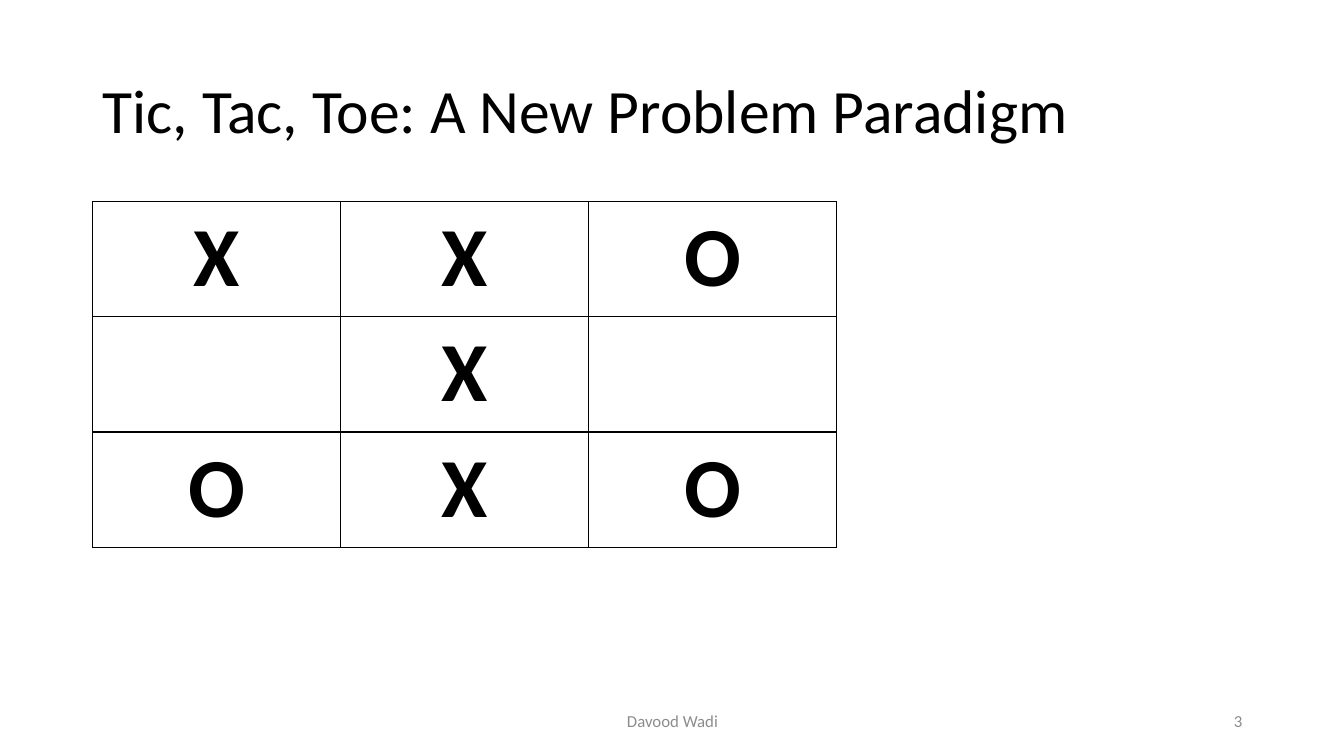
from dataclasses import dataclass

from lxml.etree import SubElement
from pptx import Presentation
from pptx.dml.color import RGBColor
from pptx.enum.text import MSO_ANCHOR, MSO_AUTO_SIZE, PP_ALIGN
from pptx.oxml.ns import qn
from pptx.util import Inches, Pt


@dataclass(frozen=True)
class Theme:
    font: str = "Calibri"
    ink: str = "000000"
    muted: str = "8C8C8C"
    title_size: int = 44
    mark_size: int = 60
    footer_size: int = 12
    border_width: int = 1


THEME = Theme()
BOARD = ["XXO", " X ", "OXO"]


def write_text(frame, text, *, size, color=THEME.ink, bold=False,
               align=PP_ALIGN.LEFT, line_spacing=None):
    paragraph = frame.paragraphs[0]
    paragraph.alignment = align
    paragraph.line_spacing = line_spacing
    run = paragraph.add_run()
    run.text = text
    run.font.name = THEME.font
    run.font.size = Pt(size)
    run.font.bold = bold
    run.font.color.rgb = RGBColor.from_string(color)


def add_title(slide, text):
    title = slide.shapes.title
    title.left, title.top = Inches(0.92), Inches(0.4)
    title.width, title.height = Inches(11.5), Inches(1.45)
    frame = title.text_frame
    frame.auto_size = MSO_AUTO_SIZE.NONE
    frame.vertical_anchor = MSO_ANCHOR.MIDDLE
    write_text(frame, text, size=THEME.title_size, line_spacing=0.9)


def add_borders(cell):
    """Draw all four sides; borders must precede the fill in the cell XML."""
    properties = cell._tc.get_or_add_tcPr()
    for side in ("a:lnL", "a:lnR", "a:lnT", "a:lnB"):
        line = SubElement(properties, qn(side), w=str(Pt(THEME.border_width)))
        fill = SubElement(line, qn("a:solidFill"))
        SubElement(fill, qn("a:srgbClr"), val=THEME.ink)


def add_board(slide, rows):
    board = slide.shapes.add_table(
        len(rows), len(rows[0]), Inches(0.92), Inches(2), Inches(7.38), Inches(3.43)
    ).table
    board.first_row = board.horz_banding = False
    for row, marks in enumerate(rows):
        for column, mark in enumerate(marks):
            square = board.cell(row, column)
            add_borders(square)
            square.fill.background()
            if mark.strip():
                write_text(square.text_frame, mark, size=THEME.mark_size,
                           bold=True, align=PP_ALIGN.CENTER)


def add_footer(slide, text, left, width, align):
    footer = slide.shapes.add_textbox(
        Inches(left), Inches(6.95), Inches(width), Inches(0.4))
    frame = footer.text_frame
    frame.word_wrap = True
    frame.vertical_anchor = MSO_ANCHOR.MIDDLE
    write_text(frame, text, size=THEME.footer_size, color=THEME.muted, align=align)


def main():
    deck = Presentation()
    deck.slide_width, deck.slide_height = Inches(13.33), Inches(7.5)
    slide = deck.slides.add_slide(deck.slide_layouts.get_by_name("Title Only"))
    add_title(slide, "Tic, Tac, Toe: A New Problem Paradigm")
    add_board(slide, BOARD)
    add_footer(slide, "Davood Wadi", 4.42, 4.5, PP_ALIGN.CENTER)
    add_footer(slide, "3", 9.42, 3, PP_ALIGN.RIGHT)
    deck.save("out.pptx")


if __name__ == "__main__":
    main()
